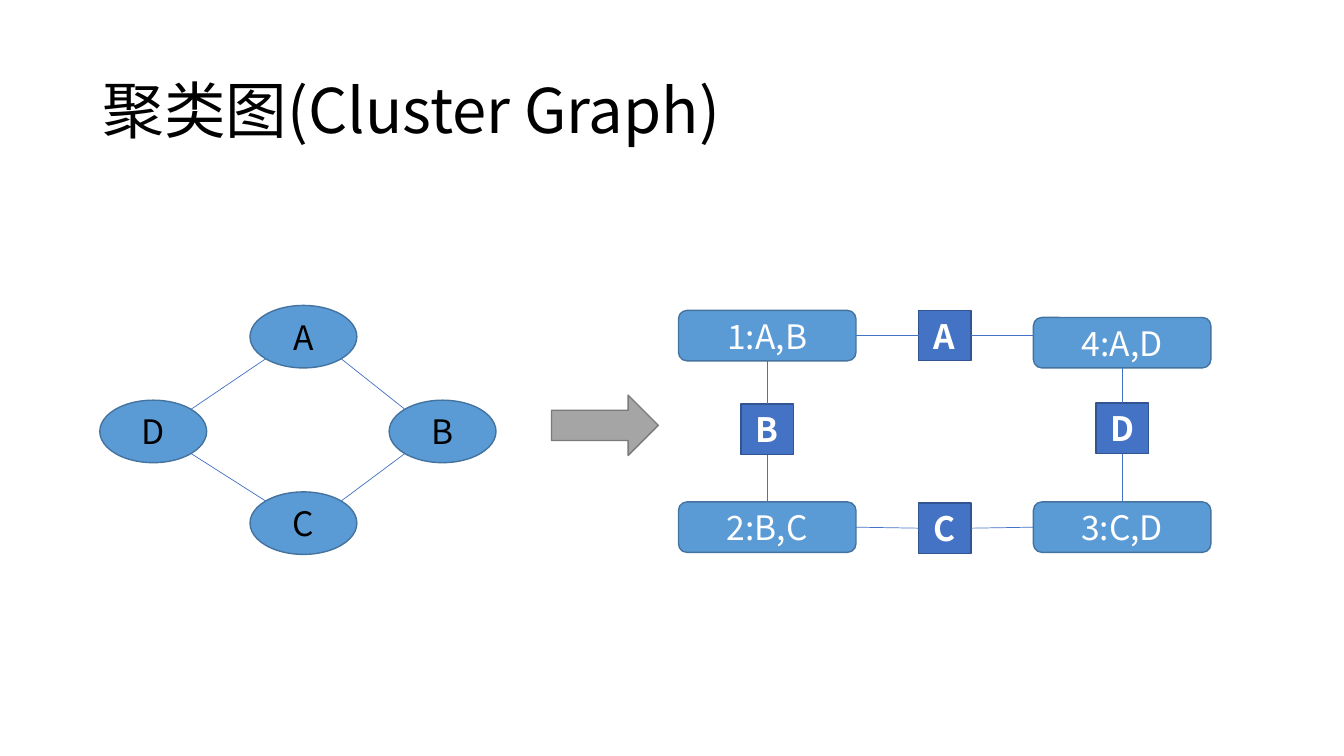
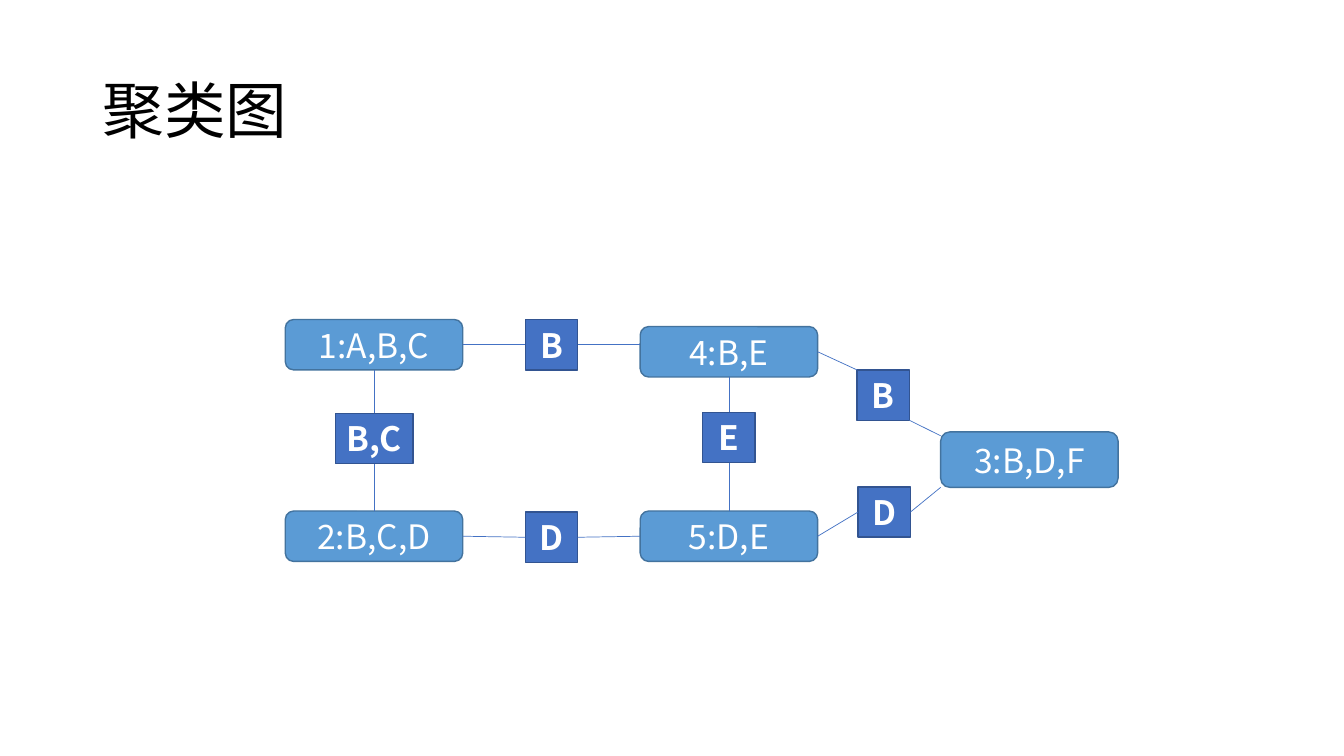
import lxml.etree
import pptx
import pptx.dml.color
import pptx.enum.shapes
import pptx.enum.text
import pptx.oxml.ns
import pptx.util

Inches = pptx.util.Inches
Pt = pptx.util.Pt
Preset = pptx.enum.shapes.MSO_SHAPE
rgb = pptx.dml.color.RGBColor.from_string
qn = pptx.oxml.ns.qn

FONT = "Noto Sans CJK SC"
COLORS = {
    "black": "000000",
    "white": "FFFFFF",
    "node": "5B9BD5",
    "node edge": "43739E",
    "sepset": "4472C4",
    "sepset edge": "325491",
    "arrow": "A5A5A5",
    "arrow edge": "7A7A7A",
}
LABEL = {"name": FONT, "size": Pt(24), "bold": False}
STYLES = {
    "variable": {"preset": Preset.OVAL, "size": (1.06, 0.62), "fill": "node",
                 "ink": "black", "font": LABEL},
    "cluster": {"preset": Preset.ROUNDED_RECTANGLE, "size": (1.76, 0.5), "fill": "node",
                "ink": "white", "font": LABEL},
    "sepset": {"preset": Preset.RECTANGLE, "size": (0.52, 0.5), "fill": "sepset",
               "ink": "white", "font": LABEL | {"bold": True}},
    "arrow": {"preset": Preset.RIGHT_ARROW, "size": (1.06, 0.6), "fill": "arrow",
              "ink": "white", "font": LABEL},
}
TITLE_FONT = {"name": FONT, "size": Pt(44), "bold": False}

# Points on a shape, as fractions of its width and height
TOP, LEFT, BOTTOM, RIGHT = (0.5, 0), (0, 0.5), (0.5, 1), (1, 0.5)
SITES = [TOP, LEFT, BOTTOM, RIGHT]
NEAR, FAR = 0.15, 0.85  # diagonal points of an ellipse


def place(shapes, style_name, label, center_x, center_y, **size):
    """Add a styled shape by its centre; width and height override the style."""
    style = STYLES[style_name]
    width = size.get("width", style["size"][0])
    height = size.get("height", style["size"][1])
    shape = shapes.add_shape(style["preset"], Inches(center_x - width / 2),
                             Inches(center_y - height / 2), Inches(width), Inches(height))
    shape.shadow.inherit = False
    shape.fill.solid()
    shape.fill.fore_color.rgb = rgb(COLORS[style["fill"]])
    shape.line.color.rgb = rgb(COLORS[style["fill"] + " edge"])
    shape.line.width = Pt(1)
    if label:
        frame = shape.text_frame
        frame.word_wrap = False
        frame.vertical_anchor = pptx.enum.text.MSO_ANCHOR.MIDDLE
        paragraph = frame.paragraphs[0]
        paragraph.alignment = pptx.enum.text.PP_ALIGN.CENTER
        run = paragraph.add_run()
        run.text = label
        for name, value in style["font"].items():
            setattr(run.font, name, value)
        run.font.color.rgb = rgb(COLORS[style["ink"]])
    return shape


def link(shapes, start, start_point, end, end_point):
    """Draw a thin line between two shapes, attached where the point is a side's middle."""
    ends = []
    for shape, (across, down) in ((start, start_point), (end, end_point)):
        ends += [round(shape.left + across * shape.width), round(shape.top + down * shape.height)]
    edge = shapes.add_connector(pptx.enum.shapes.MSO_CONNECTOR.STRAIGHT, *ends)
    edge.line.color.rgb = rgb(COLORS["sepset"])
    edge.line.width = Pt(0.5)
    lxml.etree.SubElement(edge._element.spPr, qn("a:effectLst"))
    if start_point in SITES:
        edge.begin_connect(start, SITES.index(start_point))
    if end_point in SITES:
        edge.end_connect(end, SITES.index(end_point))


# Offsets of centres from the top left corner of a ring of four clusters
CLUSTER_SPOTS = {"top left": (0.88, 0.25), "top right": (4.4, 0.32),
                 "bottom right": (4.4, 2.15), "bottom left": (0.88, 2.15)}
SEPSET_SPOTS = {"top": (2.64, 0.25), "left": (0.88, 1.18),
                "right": (4.4, 1.17), "bottom": (2.64, 2.16)}
RING_LINKS = [
    ("top left", RIGHT, "top", LEFT),
    ("top right", (0, 0.36), "top", RIGHT),
    ("top left", BOTTOM, "left", TOP),
    ("bottom left", TOP, "left", BOTTOM),
    ("bottom left", RIGHT, "bottom", LEFT),
    ("bottom right", LEFT, "bottom", RIGHT),
    ("bottom right", TOP, "right", BOTTOM),
    ("top right", BOTTOM, "right", TOP),
]
PAGES = [
    {"title": "聚类图(Cluster Graph)", "corner": (6.73, 3.08),
     "clusters": ["1:A,B", "4:A,D", "3:C,D", "2:B,C"], "sepsets": ["A", "B", "D", "C"]},
    {"title": "聚类图", "corner": (2.83, 3.17),
     "clusters": ["1:A,B,C", "4:B,E", "5:D,E", "2:B,C,D"], "sepsets": ["B", "B,C", "E", "D"]},
]

deck = pptx.Presentation()
deck.slide_width, deck.slide_height = Inches(13.33), Inches(7.5)
slides, rings, ring_groups = [], [], []

for page in PAGES:
    slide = deck.slides.add_slide(deck.slide_layouts[6])
    title = slide.shapes.add_textbox(Inches(0.92), Inches(0.4), Inches(11.5), Inches(1.45))
    title.text_frame.word_wrap = True
    title.text_frame.vertical_anchor = pptx.enum.text.MSO_ANCHOR.MIDDLE
    heading = title.text_frame.paragraphs[0]
    heading.line_spacing = 0.9
    heading_run = heading.add_run()
    heading_run.text = page["title"]
    for name, value in TITLE_FONT.items():
        setattr(heading_run.font, name, value)
    heading_run.font.color.rgb = rgb(COLORS["black"])
    east_asian = lxml.etree.SubElement(heading_run._r.get_or_add_rPr(), qn("a:ea"))
    east_asian.set("typeface", FONT)

    group = slide.shapes.add_group_shape().shapes
    corner_x, corner_y = page["corner"]
    ring = {}
    for style_name, spots, labels in (("sepset", SEPSET_SPOTS, page["sepsets"]),
                                      ("cluster", CLUSTER_SPOTS, page["clusters"])):
        for (spot, (x, y)), label in zip(spots.items(), labels):
            size = {"width": 0.77} if label == "B,C" else {}
            ring[spot] = place(group, style_name, label, corner_x + x, corner_y + y, **size)
    for cluster, cluster_point, sepset, sepset_point in RING_LINKS:
        link(group, ring[cluster], cluster_point, ring[sepset], sepset_point)
    slides.append(slide)
    rings.append(ring)
    ring_groups.append(group)

# Slide 1: the Markov network that the cluster graph is derived from
network = slides[0].shapes.add_group_shape().shapes
variables = {}
for label, x, y in (("A", 3.01, 3.34), ("B", 4.39, 4.28), ("C", 3.01, 5.19), ("D", 1.52, 4.28)):
    variables[label] = place(network, "variable", label, x, y)
for start, start_point, end, end_point in (
    ("A", (NEAR, FAR), "D", (FAR, NEAR)),
    ("A", (FAR, FAR), "B", (NEAR, NEAR)),
    ("D", (FAR, FAR), "C", (NEAR, NEAR)),
    ("B", (NEAR, FAR), "C", (FAR, NEAR)),
):
    link(network, variables[start], start_point, variables[end], end_point)
place(slides[0].shapes, "arrow", "", 6, 4.22)

# Slide 2: a fifth cluster to the right of the ring
ring, group = rings[1], ring_groups[1]
fifth = place(group, "cluster", "3:B,D,F", 10.21, 4.56, height=0.55)
upper = place(group, "sepset", "B", 8.76, 3.92)
lower = place(group, "sepset", "D", 8.77, 5.08)
link(group, ring["top right"], RIGHT, upper, (0, 0))
link(group, upper, (1, 1), fifth, (0, 0.07))
link(group, lower, RIGHT, fifth, (0, 1))
link(group, ring["bottom right"], RIGHT, lower, LEFT)

deck.save("out.pptx")
